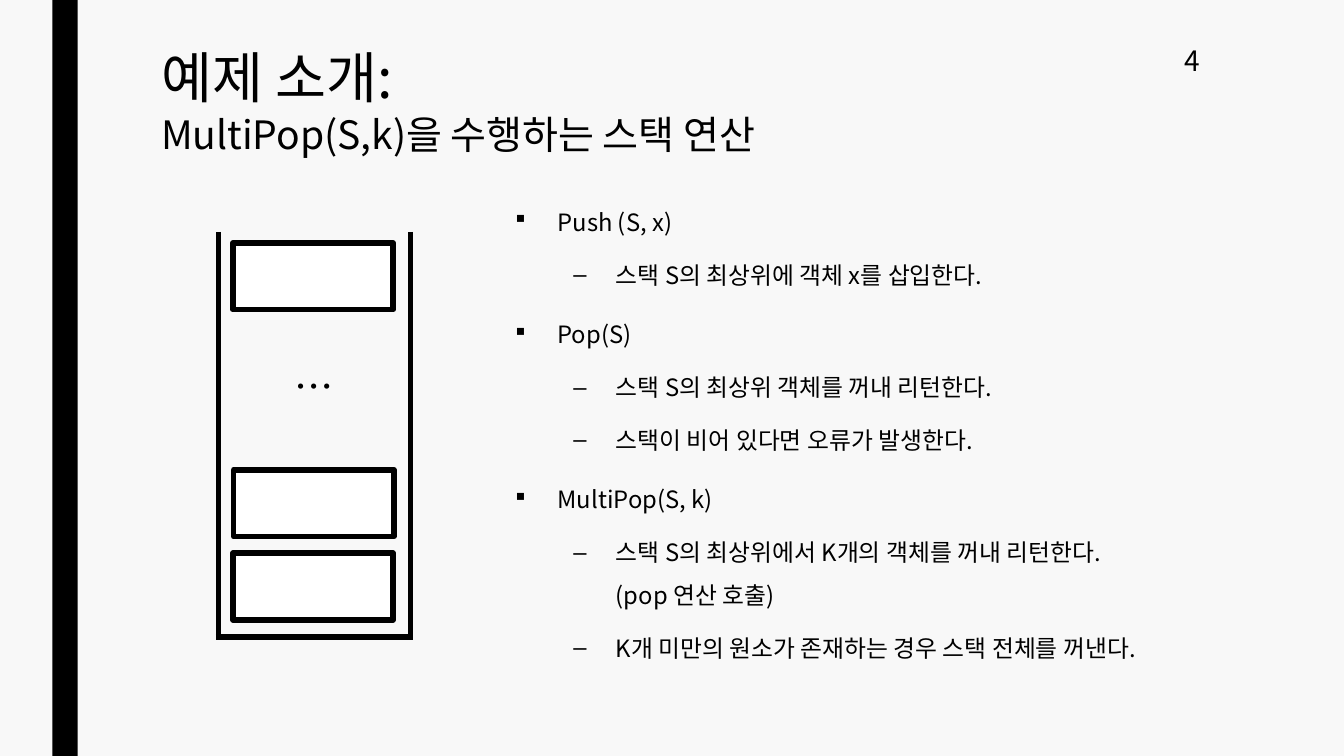
from dataclasses import dataclass

from lxml.etree import SubElement
from pptx import Presentation
from pptx.dml.color import RGBColor
from pptx.enum.shapes import MSO_SHAPE
from pptx.enum.text import MSO_ANCHOR, MSO_AUTO_SIZE, PP_ALIGN
from pptx.oxml.ns import qn
from pptx.util import Cm, Pt


@dataclass(frozen=True)
class Theme:
    """Colours, font and type sizes of the slide."""
    ink: RGBColor = RGBColor(0x00, 0x00, 0x00)
    paper: RGBColor = RGBColor(0xF8, 0xF8, 0xF8)
    block: RGBColor = RGBColor(0xFF, 0xFF, 0xFF)
    font: str = "Noto Sans CJK KR"
    title: float = 39.6
    subtitle: float = 27.9
    body: float = 17
    dots: float = 28
    number: float = 20


THEME = Theme()

BULLETS = {
    0: {"char": "§", "font": "Wingdings", "margin": Cm(1.07), "before": 10},
    1: {"char": "–", "font": "Arial", "margin": Cm(2.54), "before": 5},
}

OPERATIONS = [
    ("Push (S, x)", ["스택 S의 최상위에 객체 x를 삽입한다."]),
    ("Pop(S)", ["스택 S의 최상위 객체를 꺼내 리턴한다.",
                "스택이 비어 있다면 오류가 발생한다."]),
    ("MultiPop(S, k)", ["스택 S의 최상위에서 K개의 객체를 꺼내 리턴한다.\n(pop 연산 호출)",
                        "K개 미만의 원소가 존재하는 경우 스택 전체를 꺼낸다."]),
]

BLOCK_SIZE = (Cm(4.04), Cm(1.68))
BLOCKS = [(5.87, 13.94), (5.89, 11.84), (5.87, 6.12)]


def write(p, text, size, align=PP_ALIGN.LEFT, spacing=1.0):
    """Add text to a paragraph, with a line break at each newline."""
    p.alignment = align
    p.line_spacing = spacing
    for i, line in enumerate(text.split("\n")):
        if i:
            p.add_line_break()
        r = p.add_run()
        r.text = line
        r.font.size = Pt(size)
        r.font.name = THEME.font
        r.font.color.rgb = THEME.ink


def add_bullet(p, level):
    """Give a paragraph the indent, spacing and bullet of its level."""
    style = BULLETS[level]
    p.level = level
    p.space_before = Pt(style["before"])
    p.space_after = Pt(2)
    pPr = p._p.get_or_add_pPr()
    pPr.set("marL", str(style["margin"]))
    pPr.set("indent", str(-Cm(1.07)))
    SubElement(pPr, qn("a:buFont"), typeface=style["font"])
    SubElement(pPr, qn("a:buChar"), char=style["char"])


def add_box(s, left, top, width, height, anchor=MSO_ANCHOR.MIDDLE):
    """Add a wrapping text box and return its text frame."""
    tf = s.shapes.add_textbox(left, top, width, height).text_frame
    tf.word_wrap = True
    tf.vertical_anchor = anchor
    return tf


def add_rect(s, left, top, width, height, fill, line=None):
    """Add a rectangle, outlined when a line width is given."""
    sp = s.shapes.add_shape(MSO_SHAPE.RECTANGLE, left, top, width, height)
    sp.shadow.inherit = False
    sp.fill.solid()
    sp.fill.fore_color.rgb = fill
    if line:
        sp.line.color.rgb = THEME.ink
        sp.line.width = Pt(line)
    else:
        sp.line.fill.background()


def add_title(s):
    """Place and fill the title placeholder."""
    sp = s.shapes.title
    sp.left, sp.top, sp.width, sp.height = Cm(3.81), Cm(0.97), Cm(26.67), Cm(3.2)
    tf = sp.text_frame
    tf.word_wrap = True
    tf.auto_size = MSO_AUTO_SIZE.NONE
    tf.vertical_anchor = MSO_ANCHOR.TOP
    p = tf.paragraphs[0]
    write(p, "예제 소개:", THEME.title)
    p.add_line_break()
    write(p, "MultiPop(S,k)을 수행하는 스택 연산", THEME.subtitle)


def add_operations(s):
    """List the stack operations with their descriptions."""
    tf = add_box(s, Cm(12.73), Cm(4.75), Cm(19.53), Cm(12.4), MSO_ANCHOR.TOP)
    items = [(text, level) for name, notes in OPERATIONS
             for text, level in [(name, 0)] + [(note, 1) for note in notes]]
    for i, (text, level) in enumerate(items):
        p = tf.add_paragraph() if i else tf.paragraphs[0]
        write(p, text, THEME.body, spacing=1.5)
        add_bullet(p, level)


def add_container(s):
    """Draw the open-topped stack as a one-cell table."""
    table = s.shapes.add_table(1, 1, Cm(5.51), Cm(5.84), Cm(4.83), Cm(10.21)).table
    table.first_row = False
    table.horz_banding = False
    cell = table.cell(0, 0)
    tcPr = cell._tc.get_or_add_tcPr()
    for side in ("lnL", "lnR", "lnT", "lnB"):
        if side == "lnT":
            SubElement(SubElement(tcPr, qn("a:lnT"), w="0"), qn("a:noFill"))
            continue
        ln = SubElement(tcPr, qn(f"a:{side}"), w=str(Pt(4.5)))
        fill = SubElement(ln, qn("a:solidFill"))
        SubElement(fill, qn("a:srgbClr"), val=str(THEME.ink))
    cell.fill.background()


def add_stack(s):
    """Draw the stack with its blocks and the ellipsis between them."""
    add_container(s)
    for left, top in BLOCKS:
        add_rect(s, Cm(left), Cm(top), *BLOCK_SIZE, THEME.block, line=4)
    tf = add_box(s, Cm(5.89), Cm(8.89), *BLOCK_SIZE)
    write(tf.paragraphs[0], "…", THEME.dots, align=PP_ALIGN.CENTER)


def main():
    """Build the slide and save it."""
    prs = Presentation()
    prs.slide_width, prs.slide_height = Cm(33.87), Cm(19.05)
    s = prs.slides.add_slide(prs.slide_layouts.get_by_name("Title Only"))
    s.background.fill.solid()
    s.background.fill.fore_color.rgb = THEME.paper
    add_rect(s, Cm(1.32), Cm(0), Cm(0.64), prs.slide_height, THEME.ink)
    add_title(s)
    add_operations(s)
    add_stack(s)
    tf = add_box(s, Cm(26.04), Cm(0.97), Cm(4.45), Cm(1.12))
    write(tf.paragraphs[0], "4", THEME.number, align=PP_ALIGN.RIGHT)
    prs.save("out.pptx")


if __name__ == "__main__":
    main()
